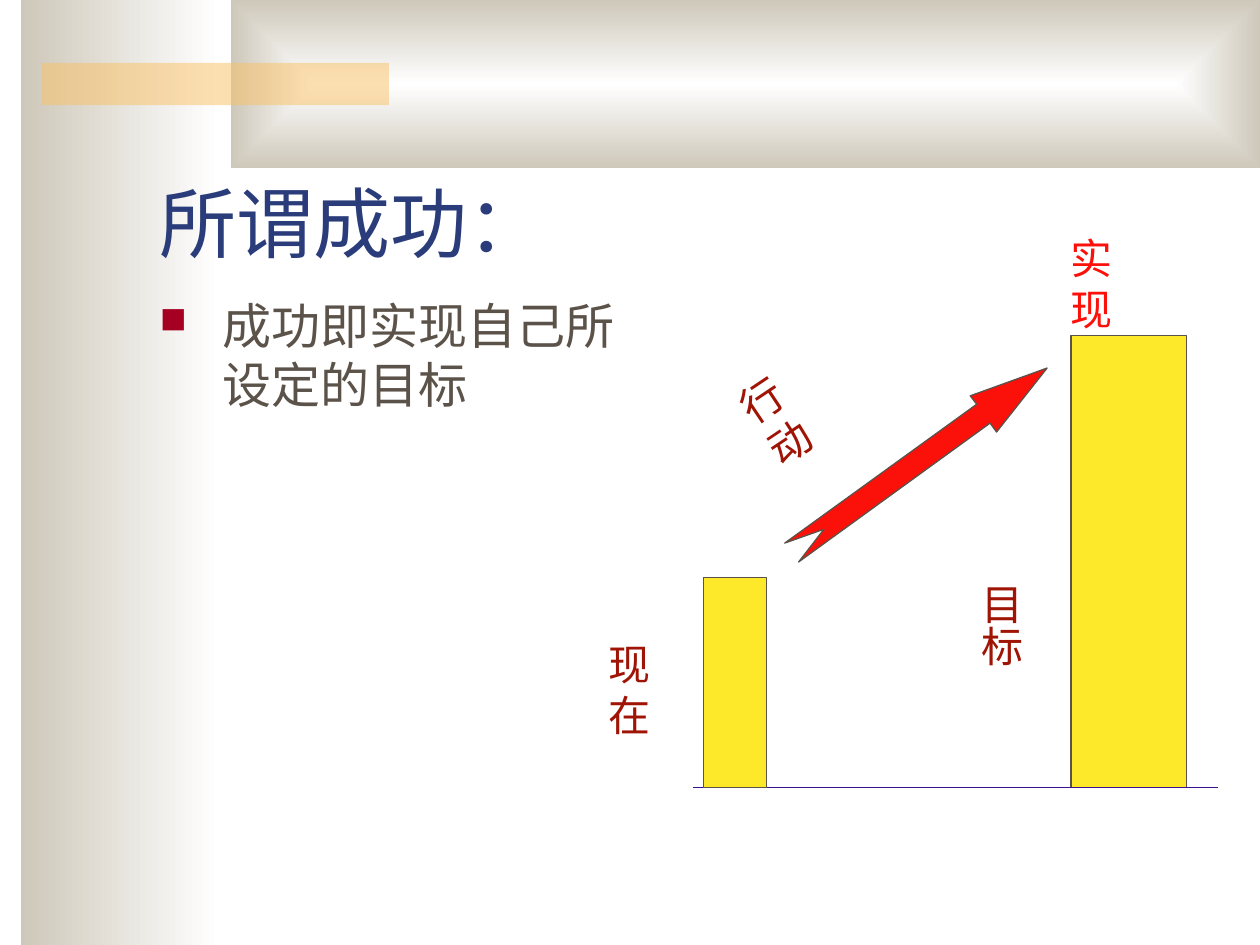
"""Builds a slide that defines success as the climb from the present to a goal."""
from dataclasses import dataclass
from typing import Any

from lxml import etree
from pptx import Presentation
from pptx import util as u
from pptx.dml.color import RGBColor
from pptx.enum import shapes, text
from pptx.oxml.ns import qn

GROUND = 15.88


def paint(color_format, hex_code):
    color_format.rgb = RGBColor.from_string(hex_code)


def write(frame, words, size=24, color="9F1405", font="Times New Roman", before=0):
    paragraph = frame.paragraphs[0]
    paragraph.space_before = u.Pt(before)
    run = paragraph.add_run()
    run.text = words
    run.font.size = u.Pt(size)
    run.font.name = font
    paint(run.font.color, color)
    return paragraph


@dataclass
class Canvas:
    slide: Any
    outline: str = "5B5249"
    shade: str = "CEC8BA"
    weight: float = 0.75

    def finish(self, shape, fill, line=None):
        shape.shadow.inherit = False
        shape.fill.solid()
        paint(shape.fill.fore_color, fill)
        if line:
            paint(shape.line.color, line)
            shape.line.width = u.Pt(self.weight)
        else:
            shape.line.fill.background()
        return shape

    def block(self, *box, fill="FFFFFF", line=None):
        block = self.slide.shapes.add_shape(
            shapes.MSO_SHAPE.RECTANGLE, *map(u.Cm, box))
        return self.finish(block, fill, line)

    def bar(self, left, top, width):
        return self.block(left, top, width, GROUND - top,
                          fill="FDE929", line=self.outline)

    def faded(self, *box, from_center=False):
        panel = self.block(*box)
        panel.fill.gradient()
        panel.fill.gradient_angle = 0
        ends = ("FFFFFF", self.shade) if from_center else (self.shade, "FFFFFF")
        for stop, color in zip(panel.fill.gradient_stops, ends):
            paint(stop.color, color)
        if from_center:
            linear = panel.element.spPr.find(qn("a:gradFill")).find(qn("a:lin"))
            center = etree.Element(qn("a:path"), path="rect")
            etree.SubElement(center, qn("a:fillToRect"),
                             {side: "50000" for side in "ltrb"})
            linear.getparent().replace(linear, center)

    def translucent(self, *box, fill, percent):
        strip = self.block(*box, fill=fill)
        color = strip.element.spPr.find(qn("a:solidFill"))[0]
        etree.SubElement(color, qn("a:alpha"), val=str(percent * 1000))

    def textbox(self, *box, words, anchor=text.MSO_ANCHOR.TOP, **style):
        frame = self.slide.shapes.add_textbox(*map(u.Cm, box)).text_frame
        frame.word_wrap = True
        frame.vertical_anchor = anchor
        return write(frame, words, **style)

    def bullet(self, *box, words, color, indent=1.27, **style):
        paragraph = self.textbox(*box, words=words, **style)
        props = paragraph._p.get_or_add_pPr()
        props.set("marL", str(u.Cm(indent)))
        props.set("indent", str(-u.Cm(indent)))
        mark = etree.SubElement(props, qn("a:buClr"))
        etree.SubElement(mark, qn("a:srgbClr"), val=color)
        etree.SubElement(props, qn("a:buSzPct"), val="75000")
        etree.SubElement(props, qn("a:buChar"), char="■")

    def label(self, left, top, words, width=2.18, height=1.27,
              turn=0, vertical=False, **style):
        box = self.slide.shapes.add_textbox(*map(u.Cm, (left, top, width, height)))
        box.rotation = turn
        frame = box.text_frame
        frame.word_wrap = False
        frame.auto_size = text.MSO_AUTO_SIZE.SHAPE_TO_FIT_TEXT
        if vertical:
            frame.margin_left = frame.margin_right = u.Cm(0.13)
            frame.margin_top = frame.margin_bottom = u.Cm(0.25)
            frame._txBody.bodyPr.set("vert", "eaVert")
        write(frame, words, **style)

    def level_line(self, left, right, y, color):
        line = self.slide.shapes.add_connector(
            shapes.MSO_CONNECTOR.STRAIGHT, *map(u.Cm, (left, y, right, y)))
        paint(line.line.color, color)
        line.line.width = u.Pt(self.weight)
        etree.SubElement(line.element.spPr, qn("a:effectLst"))

    def polygon(self, points, fill):
        start, *rest = [(u.Cm(x), u.Cm(y)) for x, y in points]
        builder = self.slide.shapes.build_freeform(*start)
        builder.add_line_segments(rest, close=True)
        self.finish(builder.convert_to_shape(), fill, self.outline)


def main():
    deck = Presentation()
    deck.slide_width, deck.slide_height = u.Cm(25.4), u.Cm(19.05)
    canvas = Canvas(deck.slides.add_slide(deck.slide_layouts[6]))

    canvas.faded(0.42, 0, 4.02, 19.05)
    canvas.faded(4.66, 0, 20.74, 3.39, from_center=True)
    canvas.translucent(0.85, 1.27, 6.99, 0.85, fill="FAC164", percent=50)

    canvas.bar(21.59, 6.77, 2.33)
    canvas.textbox(2.97, 2.34, 21.59, 3.18, words="所谓成功：", size=44,
                   color="2A3D7A", anchor=text.MSO_ANCHOR.BOTTOM)
    canvas.bullet(2.97, 5.84, 10.59, 11.43, words="成功即实现自己所设定的目标",
                  color="A50021", size=28, before=7)
    for run in canvas.slide.shapes[-1].text_frame.paragraphs[0].runs:
        paint(run.font.color, canvas.outline)
    canvas.level_line(13.97, 24.55, GROUND, "3D1292")
    canvas.bar(14.18, 11.64, 1.27)

    action_arrow = [(15.82, 10.95), (19.69, 8.15), (19.56, 7.98), (21.11, 7.42),
                    (20.09, 8.71), (19.96, 8.53), (16.1, 11.33), (16.61, 10.67)]
    canvas.polygon(action_arrow, "FC100A")

    canvas.label(14.61, 7.19, "行动", turn=326.1)
    canvas.label(19.3, 11.51, "目标", width=1.52, height=1.96, vertical=True)
    canvas.label(21.34, 4.57, "实现", color="FC100A")
    canvas.label(12.01, 12.75, "现在")
    deck.save("out.pptx")


if __name__ == "__main__":
    main()
